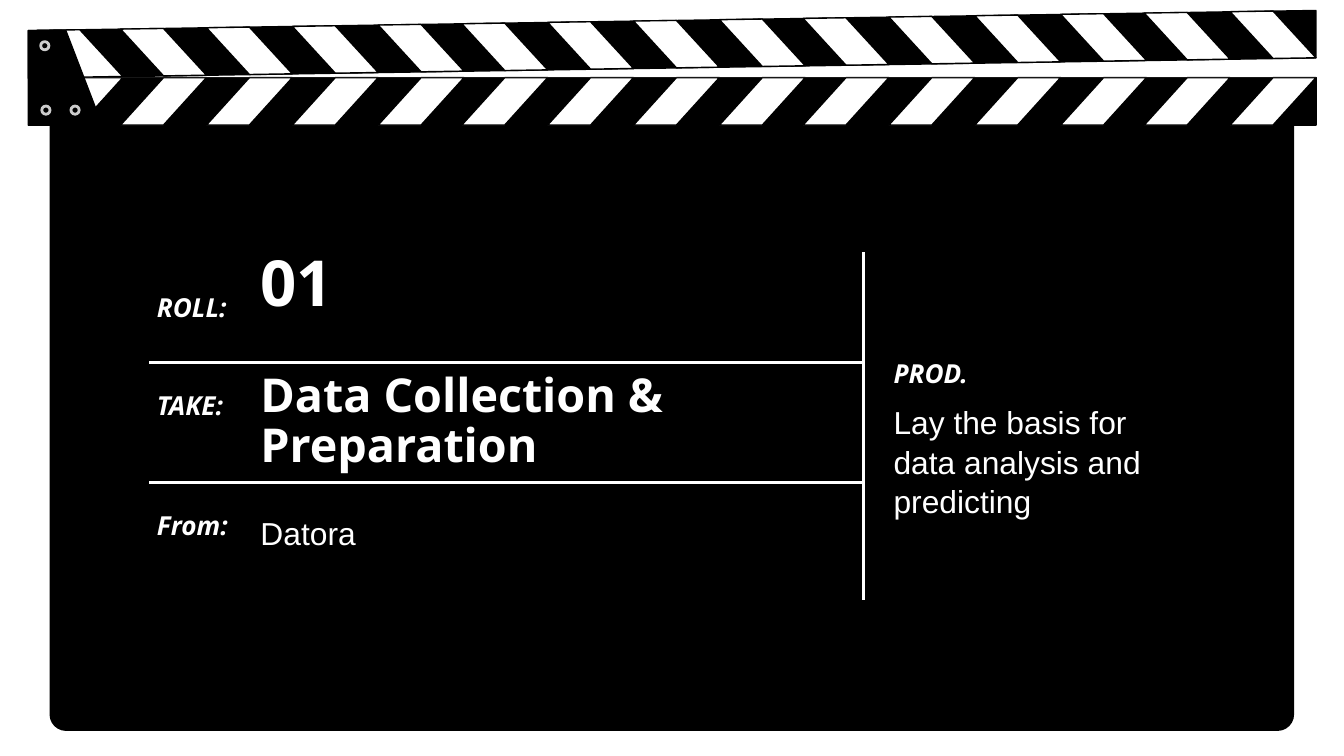
from dataclasses import dataclass
from typing import Callable

from lxml import etree
from pptx import Presentation
from pptx.dml.color import RGBColor
from pptx.enum import shapes as kinds, text as txt
from pptx.oxml.ns import qn
from pptx.util import Pt


@dataclass(frozen=True)
class Theme:
    black: str = "000000"
    white: str = "FFFFFF"
    seam: str = "171717"
    rivet: str = "CCCCCC"
    display_font: str = "Open Sans"
    body_font: str = "Arial"
    number_size: float = 34
    title_size: float = 25
    body_size: float = 17
    label_size: float = 14
    thin: float = 0.75
    thick: float = 1.5


@dataclass(frozen=True)
class Box:
    left: float
    top: float
    width: float
    height: float


@dataclass(frozen=True)
class Label:
    words: str
    left: float
    top: float


@dataclass(frozen=True)
class Rule:
    x1: float
    y1: float
    x2: float
    y2: float
    color: str
    weight: float


THEME = Theme()
Edge = Callable[[float], float]

BOARD = Box(26.6, 51.8, 666.7, 339.8)
BAR_LEFT, BAR_RIGHT = 15.1, 704.9
BAR_HEIGHT = 25.4
ARM_TOP_LEFT, ARM_TOP_RIGHT = 16.4, 5.6
STICK_TOP = 41.6
STICK_BOTTOM = STICK_TOP + BAR_HEIGHT

STRIPE_COUNT = 15
STRIPE_WIDTH = 23
STRIPES_PER_GROUP = 4
GROUP_PITCH = 182.8
FIRST_GROUP = 64.6

RIVET_SIZE = 4.4
RIVETS = [(24, 24.5), (24.6, 59), (40.2, 59)]

LABELS = [
    Label("ROLL:", 77, 149),
    Label("TAKE:", 77, 201.6),
    Label("From:", 77, 265.7),
    Label("PROD.", 471.6, 184.3),
]

RULES = [
    Rule(80, 258.4, 463, 258.4, THEME.white, THEME.thick),
    Rule(462.4, 135.2, 462.4, 321.2, THEME.white, THEME.thick),
    Rule(80, 194.2, 463, 194.2, THEME.white, THEME.thick),
]


def rgb(color: str) -> RGBColor:
    return RGBColor.from_string(color)


def paint(shape, fill: str, line: str, weight: float) -> None:
    shape.shadow.inherit = False
    shape.fill.solid()
    shape.fill.fore_color.rgb = rgb(fill)
    shape.line.color.rgb = rgb(line)
    shape.line.width = Pt(weight)


def add_polygon(slide, points: list[tuple[float, float]], fill: str) -> None:
    start, *rest = [(Pt(x), Pt(y)) for x, y in points]
    builder = slide.shapes.build_freeform(*start)
    builder.add_line_segments(rest, close=True)
    paint(builder.convert_to_shape(), fill, THEME.black, THEME.thin)


def add_rule(slide, rule: Rule) -> None:
    line = slide.shapes.add_connector(
        kinds.MSO_CONNECTOR.STRAIGHT,
        Pt(rule.x1), Pt(rule.y1), Pt(rule.x2), Pt(rule.y2))
    line.line.color.rgb = rgb(rule.color)
    line.line.width = Pt(rule.weight)
    etree.SubElement(line._element.spPr, qn("a:effectLst"))


def add_text(slide, words: str, box: Box, *, size: float,
             font: str = THEME.display_font, bold: bool = False,
             italic: bool = False, middle: bool = False,
             spacing: float = 1.0) -> None:
    frame = slide.shapes.add_textbox(
        Pt(box.left), Pt(box.top), Pt(box.width), Pt(box.height)).text_frame
    frame.word_wrap = True
    frame.margin_left = frame.margin_right = Pt(7.2)
    frame.margin_top = frame.margin_bottom = Pt(7.2)
    frame.vertical_anchor = (
        txt.MSO_ANCHOR.MIDDLE if middle else txt.MSO_ANCHOR.TOP)
    paragraph = frame.paragraphs[0]
    paragraph.line_spacing = spacing
    run = paragraph.add_run()
    run.text = words
    run.font.name = font
    run.font.size = Pt(size)
    run.font.bold = bold
    run.font.italic = italic
    run.font.color.rgb = rgb(THEME.white)


def arm_top(x: float) -> float:
    """Height of the raised arm's upper edge at x."""
    slope = (ARM_TOP_RIGHT - ARM_TOP_LEFT) / (BAR_RIGHT - BAR_LEFT)
    return ARM_TOP_LEFT + slope * (x - BAR_LEFT)


def arm_bottom(x: float) -> float:
    return arm_top(x) + BAR_HEIGHT


def stick_top(x: float) -> float:
    return STICK_TOP


def stick_bottom(x: float) -> float:
    return STICK_BOTTOM


def add_striped_bar(slide, near: Edge, far: Edge) -> None:
    """Black bar whose white stripes run rightwards from near to far edge."""
    add_polygon(slide, [(BAR_LEFT, near(BAR_LEFT)), (BAR_LEFT, far(BAR_LEFT)),
                        (BAR_RIGHT, far(BAR_RIGHT)),
                        (BAR_RIGHT, near(BAR_RIGHT))], THEME.black)
    for number in range(STRIPE_COUNT):
        group, place = divmod(number - 1, STRIPES_PER_GROUP)
        x = FIRST_GROUP + group * GROUP_PITCH + place * 2 * STRIPE_WIDTH
        center, end = x + STRIPE_WIDTH, x + 2 * STRIPE_WIDTH
        add_polygon(slide, [(center, near(center)), (x, near(x)),
                            (center, far(center)), (end, far(end))],
                    THEME.white)


def add_clapper(slide) -> None:
    board = slide.shapes.add_shape(
        kinds.MSO_SHAPE.ROUNDED_RECTANGLE, Pt(BOARD.left), Pt(BOARD.top),
        Pt(BOARD.width), Pt(BOARD.height))
    board.adjustments[0] = 0.026
    paint(board, THEME.black, THEME.black, THEME.thin)
    board.line.fill.background()

    add_striped_bar(slide, stick_bottom, stick_top)
    add_striped_bar(slide, arm_top, arm_bottom)
    add_rule(slide, Rule(BAR_LEFT, STICK_TOP, BAR_RIGHT, STICK_TOP,
                         THEME.seam, THEME.thin))
    add_polygon(slide, [(BAR_LEFT, ARM_TOP_LEFT), (BAR_LEFT, STICK_BOTTOM),
                        (54.7, STICK_BOTTOM), (35.3, ARM_TOP_LEFT)],
                THEME.black)
    for x, y in RIVETS:
        rivet = slide.shapes.add_shape(
            kinds.MSO_SHAPE.OVAL, Pt(x - RIVET_SIZE / 2),
            Pt(y - RIVET_SIZE / 2), Pt(RIVET_SIZE), Pt(RIVET_SIZE))
        paint(rivet, THEME.black, THEME.rivet, THEME.thick)


def main() -> None:
    deck = Presentation()
    deck.slide_width, deck.slide_height = Pt(720), Pt(405)
    slide = deck.slides.add_slide(deck.slide_layouts[6])
    add_clapper(slide)

    add_text(slide, "Data Collection & Preparation",
             Box(132.5, 203, 326.2, 46.8), size=THEME.title_size,
             bold=True, middle=True, spacing=0.9)
    add_text(slide, "01", Box(132.5, 120.2, 91.4, 66.2),
             size=THEME.number_size, bold=True, middle=True, spacing=0.9)
    add_text(slide, "Lay the basis for data analysis and predicting",
             Box(471.6, 213.8, 172.1, 66.2), size=THEME.body_size,
             font=THEME.body_font, middle=True, spacing=1.04)
    for label in LABELS:
        add_text(slide, label.words, Box(label.left, label.top, 79.9, 20.9),
                 size=THEME.label_size, bold=True, italic=True)
    add_text(slide, "Datora", Box(132.5, 267.1, 131.8, 32.4),
             size=THEME.body_size, font=THEME.body_font, spacing=1.04)
    for rule in RULES:
        add_rule(slide, rule)

    deck.save("out.pptx")


if __name__ == "__main__":
    main()
